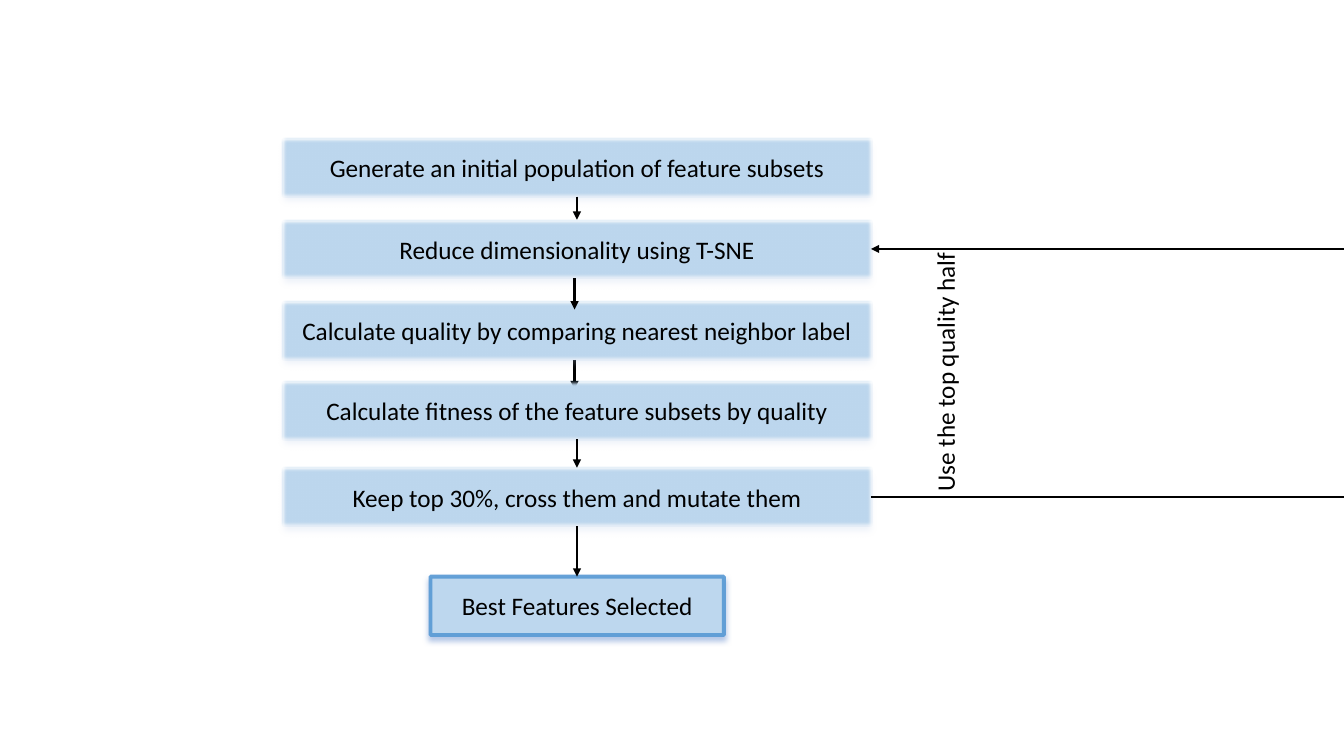
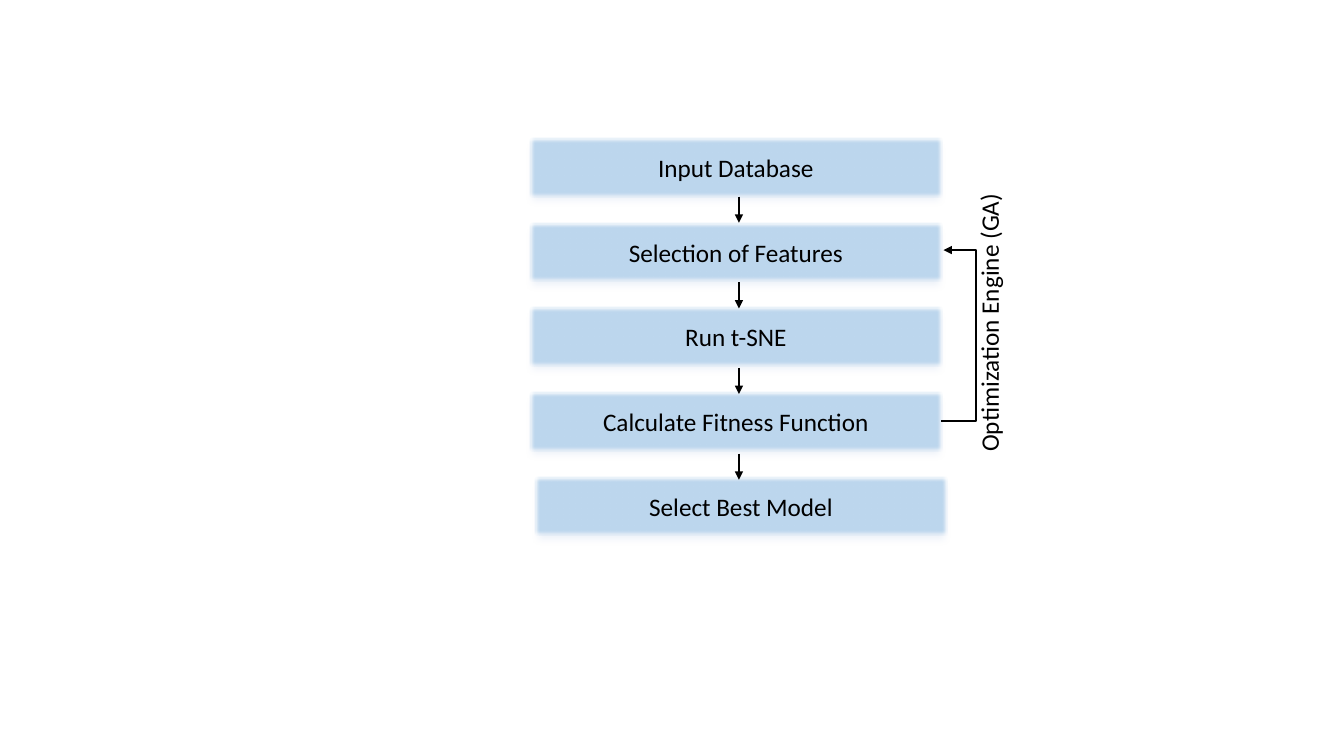
from dataclasses import dataclass
from itertools import pairwise

from lxml.etree import SubElement
from pptx import Presentation
from pptx.dml.color import RGBColor
from pptx.enum.shapes import MSO_CONNECTOR, MSO_SHAPE
from pptx.enum.text import MSO_ANCHOR, PP_ALIGN
from pptx.oxml.ns import qn
from pptx.util import Inches, Pt


@dataclass(frozen=True)
class Theme:
    """Colours, type and line sizes that both slides share."""
    font: str = "Calibri"
    size: float = 18
    ink: str = "000000"
    fill: str = "BDD7EE"
    edge: str = "5B9BD5"
    shadow: str = "B4C7E7"
    edge_opacity: int = 93
    step_edge: float = 1
    result_edge: float = 2.75
    arrow: float = 1.5
    blur: float = 4
    soft_edge: float = 2.5


THEME = Theme()
WIDTH, HEIGHT = Inches(13.33), Inches(7.5)
GRID = 100  # columns and rows on each slide
STEP_ROWS = 7.73
FIRST_ROW = 18.27
LABEL_ROWS = 5.33


def col(count):
    """Turn grid columns into a length."""
    return round(WIDTH * count / GRID)


def row(count):
    """Turn grid rows into a length."""
    return round(HEIGHT * count / GRID)


def write(frame, text, align=PP_ALIGN.LEFT, anchor=MSO_ANCHOR.TOP,
          size=THEME.size, color=THEME.ink):
    """Put one formatted paragraph into a text frame."""
    frame.word_wrap = True
    frame.vertical_anchor = anchor
    para = frame.paragraphs[0]
    para.alignment = align
    span = para.add_run()
    span.text = text
    span.font.name = THEME.font
    span.font.size = Pt(size)
    span.font.color.rgb = RGBColor.from_string(color)


def style_line(item, color, width):
    """Set line colour and width, and return the line's XML."""
    item.line.color.rgb = RGBColor.from_string(color)
    item.line.width = Pt(width)
    return item._element.spPr.find(qn("a:ln"))


def add_head(item):
    """Put a triangle at the end of a line."""
    ln = item._element.spPr.find(qn("a:ln"))
    SubElement(ln, qn("a:tailEnd"), type="triangle")


def add_box(shapes, text, left, top, width, soft=True,
            edge=THEME.step_edge, drop=4):
    """Add a process box with a tinted shadow and optional soft edge."""
    box = shapes.add_shape(MSO_SHAPE.FLOWCHART_PROCESS, col(left), row(top),
                           col(width), row(STEP_ROWS))
    box.fill.solid()
    box.fill.fore_color.rgb = RGBColor.from_string(THEME.fill)
    ln = style_line(box, THEME.edge, edge)
    SubElement(next(ln.iter(qn("a:srgbClr"))), qn("a:alpha"),
               val=str(THEME.edge_opacity * 1000))
    box.shadow.inherit = False
    effects = box._element.spPr.find(qn("a:effectLst"))
    shadow = SubElement(effects, qn("a:outerShdw"), blurRad=str(Pt(THEME.blur)),
                        dist=str(Pt(drop)), dir="5400000", algn="t",
                        rotWithShape="0")
    SubElement(shadow, qn("a:srgbClr"), val=THEME.shadow)
    if soft:
        SubElement(effects, qn("a:softEdge"), rad=str(Pt(THEME.soft_edge)))
    write(box.text_frame, text, align=PP_ALIGN.CENTER, anchor=MSO_ANCHOR.MIDDLE)


def add_line(shapes, start, end, head=True):
    """Add a straight line between two grid points."""
    line = shapes.add_connector(MSO_CONNECTOR.STRAIGHT, col(start[0]),
                                row(start[1]), col(end[0]), row(end[1]))
    style_line(line, THEME.ink, THEME.arrow)
    if head:
        add_head(line)
    SubElement(line._element.spPr, qn("a:effectLst"))


def add_down_arrow(shapes, x, top, bottom):
    """Add an arrow that points straight down."""
    add_line(shapes, (x, top), (x, bottom))


def add_loop(shapes, points):
    """Add an open angular arrow through grid points."""
    corners = [(col(x), row(y)) for x, y in points]
    builder = shapes.build_freeform(*corners[0], scale=1.0)
    builder.add_line_segments(corners[1:], close=False)
    loop = builder.convert_to_shape()
    loop.fill.background()
    style_line(loop, THEME.ink, THEME.arrow)
    add_head(loop)
    loop.shadow.inherit = False


def add_side_label(shapes, text, center_x, center_y, length):
    """Add a label that reads upwards around a centre point."""
    label = shapes.add_textbox(
        col(center_x) - col(length) // 2,
        row(center_y) - row(LABEL_ROWS) // 2, col(length), row(LABEL_ROWS))
    label.rotation = 270
    write(label.text_frame, text)


def build_selection(shapes):
    """Draw the genetic search for features."""
    left, width = 21, 43.87
    right, middle, inner = 64.8, 42.93, 42.75
    overlap = 1.07
    steps = {
        "Generate an initial population of feature subsets": FIRST_ROW,
        "Reduce dimensionality using T-SNE": 29.07,
        "Calculate quality by comparing nearest neighbor label": 39.87,
        "Calculate fitness of the feature subsets by quality": 50.4,
        "Keep top 30%, cross them and mutate them": 61.87,
    }
    result_top = 76.27
    tops = [*steps.values(), result_top]
    gaps = [(top + STEP_ROWS, below) for top, below in pairwise(tops)]
    first, reduce_gap, quality_gap, *later = gaps

    # The soft edge of the fitness box covers the tip of this arrow.
    add_down_arrow(shapes, inner, quality_gap[0], quality_gap[1] + overlap)
    for text, top in steps.items():
        add_box(shapes, text, left, top, width)
    add_box(shapes, "Best Features Selected", 32.03, result_top, 21.83,
            soft=False, edge=THEME.result_edge, drop=3)
    for start, end in (first, *later):
        add_down_arrow(shapes, middle, start, end)
    add_down_arrow(shapes, inner, reduce_gap[0], reduce_gap[1] + overlap)

    back, out = 32.93, 65.73
    add_line(shapes, (right, out), (GRID, out), head=False)
    add_line(shapes, (GRID, back), (right, back))
    add_side_label(shapes, "Use the top quality half", 70.31, 48.53, 20.03)


def build_engine(shapes):
    """Draw the optimization engine around t-SNE."""
    left, width, last_left = 39.45, 30.6, 39.83
    pitch, arrow_pitch, arrow_rows = 11.2, 11.33, 3.47
    steps = ["Input Database", "Selection of Features", "Run t-SNE",
             "Calculate Fitness Function", "Select Best Model"]
    last = len(steps) - 1
    for index, text in enumerate(steps):
        add_box(shapes, text, last_left if index == last else left,
                FIRST_ROW + index * pitch, width)
    for index in range(last):
        top = FIRST_ROW + STEP_ROWS + index * arrow_pitch
        add_down_arrow(shapes, 54.98, top, top + arrow_rows)
    add_loop(shapes, [(70.05, 55.73), (72.6, 55.73), (72.6, 33.07),
                      (70.2, 33.07)])
    add_side_label(shapes, "Optimization Engine (GA)", 73.58, 41.6, 21.9)


def main():
    """Build and save the deck."""
    deck = Presentation()
    deck.slide_width, deck.slide_height = WIDTH, HEIGHT
    blank = deck.slide_layouts[6]
    build_selection(deck.slides.add_slide(blank).shapes)
    engine_page = deck.slides.add_slide(blank)
    build_engine(engine_page.shapes.add_group_shape().shapes)
    deck.save("out.pptx")


main()
